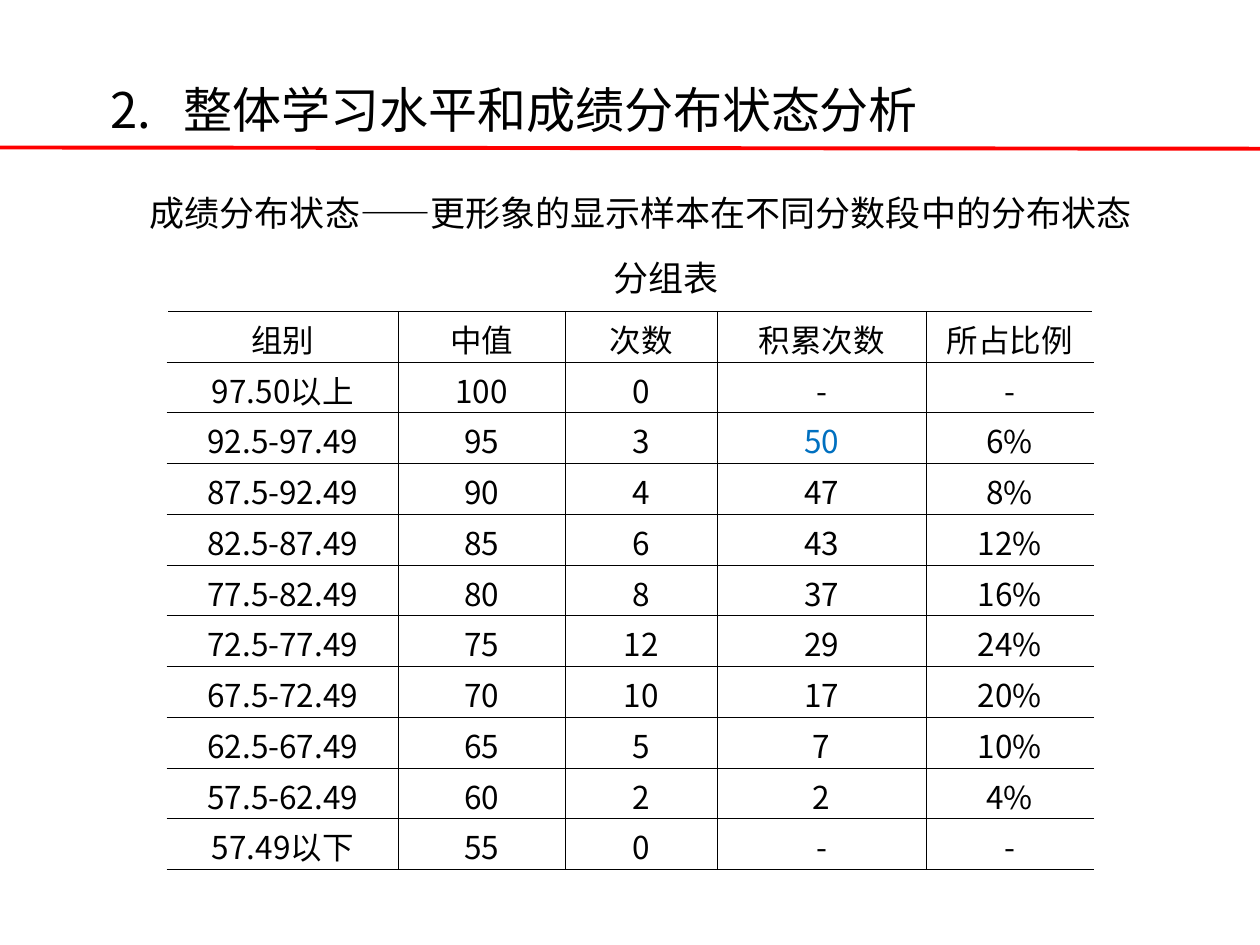
from dataclasses import dataclass

from lxml.etree import SubElement
from pptx import Presentation
from pptx.dml.color import RGBColor
from pptx.enum.shapes import MSO_CONNECTOR
from pptx.enum.text import MSO_ANCHOR, PP_ALIGN
from pptx.oxml.ns import qn
from pptx.util import Pt


@dataclass(frozen=True)
class Theme:
    face: str = "Noto Sans CJK SC"
    ink: str = "000000"
    rule: str = "FF0000"
    accent: str = "0070C0"
    title: int = 28
    lead: int = 20
    body: int = 18
    grid: float = 0.45


def write(frame, text, size, face, color, align=PP_ALIGN.LEFT, space=1.13, tab=None):
    para = frame.paragraphs[0]
    para.alignment = align
    para.line_spacing = space
    if tab:
        stops = SubElement(para._p.get_or_add_pPr(), qn("a:tabLst"))
        SubElement(stops, qn("a:tab"), pos=str(Pt(tab)), algn="l")
    run = para.add_run()
    run.text = text
    run.font.size = Pt(size)
    run.font.name = face
    run.font.color.rgb = RGBColor.from_string(color)
    SubElement(run._r.get_or_add_rPr(), qn("a:ea"), typeface=face)


class Deck:
    def __init__(self, theme):
        self.theme = theme
        self.file = Presentation()
        self.file.slide_width = Pt(720)
        self.file.slide_height = Pt(540)
        self.slide = self.file.slides.add_slide(self.file.slide_layouts[6])

    def text(self, text, left, top, width, height, size, **style):
        box = self.slide.shapes.add_textbox(Pt(left), Pt(top), Pt(width), Pt(height))
        box.text_frame.word_wrap = True
        write(box.text_frame, text, size, self.theme.face, self.theme.ink, **style)

    def line(self, start, end, width):
        ends = [Pt(value) for value in (*start, *end)]
        line = self.slide.shapes.add_connector(MSO_CONNECTOR.STRAIGHT, *ends)
        line.line.color.rgb = RGBColor.from_string(self.theme.rule)
        line.line.width = Pt(width)
        SubElement(line._element.spPr, qn("a:effectLst"))

    def border(self, cell, sides):
        props = cell._tc.get_or_add_tcPr()
        for side in sides:
            edge = SubElement(props, qn(f"a:ln{side}"), w=str(Pt(self.theme.grid)))
            fill = SubElement(edge, qn("a:solidFill"))
            SubElement(fill, qn("a:srgbClr"), val=self.theme.ink)

    def cell(self, cell, text, sides, color):
        cell.margin_left = cell.margin_right = Pt(0.72)
        cell.margin_top, cell.margin_bottom = Pt(3.6), Pt(0)
        cell.vertical_anchor = MSO_ANCHOR.MIDDLE
        self.border(cell, sides)
        cell.fill.background()
        write(cell.text_frame, text, self.theme.body, self.theme.face, color,
              align=PP_ALIGN.CENTER, space=Pt(25))

    def table(self, rows, left, top, widths, height, marks):
        shape = self.slide.shapes.add_table(
            len(rows), len(widths), Pt(left), Pt(top),
            Pt(sum(widths)), Pt(height * len(rows)))
        table = shape.table
        table.first_row = table.horz_banding = False
        for column, width in zip(table.columns, widths):
            column.width = Pt(width)
        last = len(widths) - 1
        for i, row in enumerate(rows):
            table.rows[i].height = Pt(height)
            for j, text in enumerate(row):
                sides = ("L" if j else "") + ("R" if j < last else "") + "TB"
                color = self.theme.accent if (i, j) in marks else self.theme.ink
                self.cell(table.cell(i, j), text, sides, color)

    def save(self):
        self.file.save("out.pptx")


ROWS = [
    ("组别", "中值", "次数", "积累次数", "所占比例"),
    ("97.50以上", "100", "0", "-", "-"),
    ("92.5-97.49", "95", "3", "50", "6%"),
    ("87.5-92.49", "90", "4", "47", "8%"),
    ("82.5-87.49", "85", "6", "43", "12%"),
    ("77.5-82.49", "80", "8", "37", "16%"),
    ("72.5-77.49", "75", "12", "29", "24%"),
    ("67.5-72.49", "70", "10", "17", "20%"),
    ("62.5-67.49", "65", "5", "7", "10%"),
    ("57.5-62.49", "60", "2", "2", "4%"),
    ("57.49以下", "55", "0", "-", "-"),
]


def main():
    theme = Theme()
    deck = Deck(theme)
    deck.text("2.\t整体学习水平和成绩分布状态分析", 56, 37.4, 574, 51, theme.title, tab=42)
    deck.line((0, 84.3), (720, 85), 2.25)
    deck.text("成绩分布状态——更形象的显示样本在不同分数段中的分布状态",
              78.5, 103, 579.6, 39, theme.lead)
    deck.table(ROWS, 95.6, 177.8, (132, 95.4, 86.9, 119.4, 95.4), 29, {(2, 3)})
    deck.text("分组表", 90.7, 139.7, 579.6, 39, theme.lead, align=PP_ALIGN.CENTER)
    deck.save()


if __name__ == "__main__":
    main()
